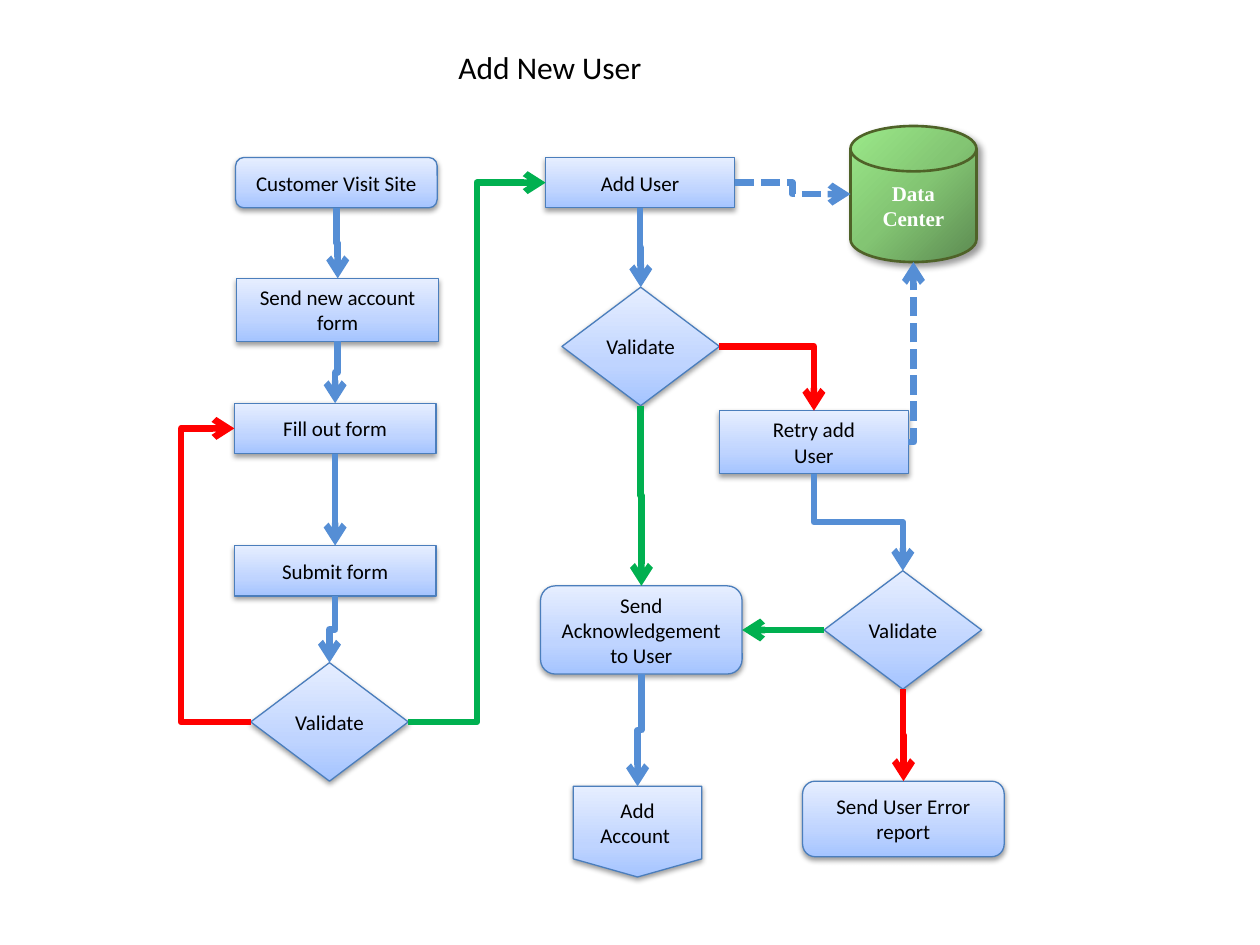
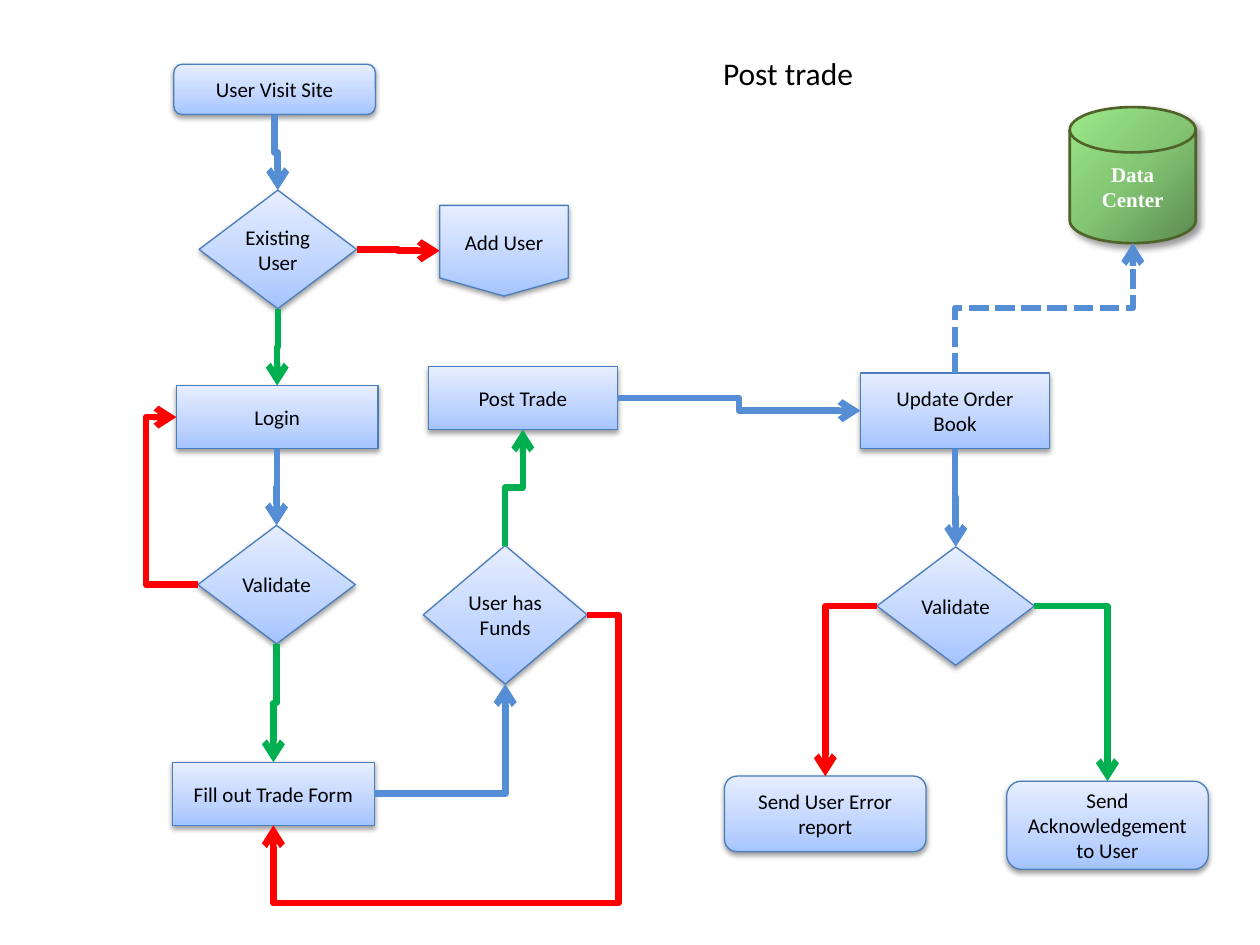
from lxml.etree import SubElement
from pptx import Presentation
from pptx.dml.color import RGBColor
from pptx.enum.shapes import MSO_CONNECTOR, MSO_SHAPE
from pptx.enum.text import MSO_ANCHOR, MSO_AUTO_SIZE, PP_ALIGN
from pptx.oxml.ns import qn
from pptx.util import Inches, Pt

HEX = {
    "blue": "558ED5", "green": "00B050", "red": "FF0000",
    "edge": "4B7EBC", "rim": "4F6228", "ink": "000000", "white": "FFFFFF",
}

# Looks: fill stops, fill angle, outline, font and shadow
STEP = {
    "stops": [(0, "A4C4FF"), (35, "BFD4FF"), (100, "E6EEFF")], "angle": 270,
    "line": ("edge", 0.75), "font": ("Calibri", "ink", False),
    "shade": {"blur": 3.1, "dist": 1.6, "dir": 90, "alpha": 38},
}
STORE = {
    "stops": [(0, "5C8A51"), (50, "83C573"), (100, "9BE989")], "angle": 225,
    "line": ("rim", 1.5), "font": ("Times New Roman", "white", True),
    "shade": {"blur": 4, "dist": 3, "dir": 45, "alpha": 40},
}

# Kinds of node: preset, default size, look
KINDS = {
    "end": (MSO_SHAPE.FLOWCHART_ALTERNATE_PROCESS, (1.6, 0.4), STEP),
    "box": (MSO_SHAPE.FLOWCHART_PROCESS, (1.6, 0.5), STEP),
    "test": (MSO_SHAPE.FLOWCHART_DECISION, (1.25, 0.94), STEP),
    "page": (MSO_SHAPE.FLOWCHART_OFFPAGE_CONNECTOR, (1.02, 0.72), STEP),
    "disk": (MSO_SHAPE.FLOWCHART_MAGNETIC_DISK, (1, 1.08), STORE),
}

# Wording used on both slides
ACK = "Send Acknowledgement\nto User"
ERROR = "Send User Error\nreport"
DATA = "Data\nCenter"

# Nodes: name -> kind, left, top, text, size if not the default
# Links: from, side, to, side, colour, then "dash" or a list of bends
SLIDES = [
    {
        "title": ("Add New User", 3.54, 0.33, 1.67),
        "nodes": {
            "visit": ("end", 1.87, 1.25, "Customer Visit Site"),
            "send": ("box", 1.88, 2.21, "Send new account form"),
            "fill": ("box", 1.86, 3.2, "Fill out form", (1.6, 0.4)),
            "submit": ("box", 1.86, 4.33, "Submit form", (1.6, 0.4)),
            "check": ("test", 1.99, 5.26, "Validate"),
            "add": ("box", 4.33, 1.25, "Add User", (1.5, 0.4)),
            "check 2": ("test", 4.46, 2.28, "Validate"),
            "retry": ("box", 5.71, 3.26, "Retry add\nUser", (1.5, 0.5)),
            "check 3": ("test", 6.54, 4.53, "Validate"),
            "ack": ("end", 4.29, 4.65, ACK, (1.6, 0.7)),
            "error": ("end", 6.37, 6.2, ERROR, (1.6, 0.6)),
            "account": ("page", 4.55, 6.24, "Add Account "),
            "data": ("disk", 6.75, 1, DATA),
        },
        "links": [
            ("visit", "b", "send", "t", "blue"),
            ("send", "b", "fill", "t", "blue"),
            ("fill", "b", "submit", "t", "blue"),
            ("submit", "b", "check", "t", "blue"),
            ("check", "l", "fill", "l", "red", [4.26]),
            ("check", "r", "add", "l", "green"),
            ("add", "b", "check 2", "t", "blue"),
            ("add", "r", "data", "l", "blue", "dash"),
            ("check 2", "r", "retry", "t", "red"),
            ("check 2", "b", "ack", "t", "green"),
            ("retry", "r", "data", "b", "blue", "dash"),
            ("retry", "b", "check 3", "t", "blue"),
            ("check 3", "l", "ack", "r", "green"),
            ("check 3", "b", "error", "t", "red"),
            ("ack", "b", "account", "t", "blue"),
        ],
    },
    {
        "title": ("Post trade", 5.64, 0.38, 1.24),
        "nodes": {
            "visit": ("end", 1.38, 0.51, "User Visit Site"),
            "known": ("test", 1.58, 1.51, "Existing User"),
            "add": ("page", 3.49, 1.63, "Add User"),
            "login": ("box", 1.4, 3.06, "Login"),
            "check": ("test", 1.57, 4.17, "Validate"),
            "form": ("box", 1.37, 6.05, "Fill out Trade Form"),
            "funds": ("test", 3.36, 4.33, "User has Funds", (1.3, 1.1)),
            "post": ("box", 3.4, 2.91, "Post Trade", (1.5, 0.5)),
            "book": ("box", 6.83, 2.96, "Update Order Book", (1.5, 0.6)),
            "check 2": ("test", 6.96, 4.34, "Validate"),
            "error": ("end", 5.75, 6.16, ERROR, (1.6, 0.6)),
            "ack": ("end", 7.99, 6.2, ACK, (1.6, 0.7)),
            "data": ("disk", 8.49, 0.85, DATA),
        },
        "links": [
            ("visit", "b", "known", "t", "blue"),
            ("known", "r", "add", "l", "red"),
            ("known", "b", "login", "t", "green"),
            ("login", "b", "check", "t", "blue"),
            ("check", "l", "login", "l", "red", [2.43]),
            ("check", "b", "form", "t", "green"),
            ("form", "r", "funds", "b", "blue"),
            ("funds", "t", "post", "b", "green"),
            ("funds", "r", "form", "b", "red", [-0.1, 1.37]),
            ("post", "r", "book", "l", "blue"),
            ("book", "t", "data", "b", "blue", "dash"),
            ("book", "b", "check 2", "t", "blue"),
            ("check 2", "l", "error", "t", "red"),
            ("check 2", "r", "ack", "t", "green"),
        ],
    },
]

# Sides: share of width, share of height, heading in degrees
SIDES = {"r": (1, 0.5, 0), "b": (0.5, 1, 90),
         "l": (0, 0.5, 180), "t": (0.5, 0, 270)}


def tint(name):
    return RGBColor.from_string(HEX[name])


def write(frame, text, size, font, color, bold=False, align=PP_ALIGN.CENTER):
    for i, words in enumerate(text.split("\n")):
        para = frame.paragraphs[0] if i == 0 else frame.add_paragraph()
        para.alignment = align
        run = para.add_run()
        run.text = words
        run.font.size, run.font.name, run.font.bold = Pt(size), font, bold
        run.font.color.rgb = tint(color)


def paint(shape, look):
    # Gradient fill
    shape.fill.gradient()
    shape.fill.gradient_angle = 360 - look["angle"]
    props = shape._element.spPr
    stops = props.find(".//" + qn("a:gsLst"))
    for old in list(stops):
        stops.remove(old)
    for pos, color in look["stops"]:
        stop = SubElement(stops, qn("a:gs"), pos=str(pos * 1000))
        SubElement(stop, qn("a:srgbClr"), val=color)
    # Outline
    color, width = look["line"]
    shape.line.color.rgb = tint(color)
    shape.line.width = Pt(width)
    # Shadow
    shape.shadow.inherit = False
    shade = look["shade"]
    outer = SubElement(
        props.find(qn("a:effectLst")), qn("a:outerShdw"),
        blurRad=str(Pt(shade["blur"])), dist=str(Pt(shade["dist"])),
        dir=str(shade["dir"] * 60000), rotWithShape="0")
    black = SubElement(outer, qn("a:srgbClr"), val=HEX["ink"])
    SubElement(black, qn("a:alpha"), val=str(shade["alpha"] * 1000))


def add_node(slide, kind, x, y, text, size=None):
    """Draw a node and return its box."""
    preset, usual, look = KINDS[kind]
    w, h = size or usual
    shape = slide.shapes.add_shape(
        preset, Inches(x), Inches(y), Inches(w), Inches(h))
    paint(shape, look)
    frame = shape.text_frame
    frame.word_wrap = True
    frame.vertical_anchor = MSO_ANCHOR.MIDDLE
    if kind == "test":
        frame.margin_left = frame.margin_right = 0
        frame.margin_top = frame.margin_bottom = 0
    write(frame, text, 12, *look["font"])
    return x, y, w, h


def port(box, side):
    x, y, w, h = box
    across, down, turn = SIDES[side]
    return x + w * across, y + h * down, turn


def add_link(slide, start, end, color, extra=None):
    x1, y1, turn = start
    x2, y2, last = end
    dx, dy = x2 - x1, y2 - y1
    # Turn the route so that it leaves its start towards the right
    run, rise = {0: (dx, dy), 90: (dy, -dx),
                 180: (-dx, -dy), 270: (-dy, dx)}[turn]
    w, h = abs(run), abs(rise)
    flip_h, flip_v = run < 0, rise < 0
    if turn == 270 or (turn == 90 and flip_v):
        turn, flip_h, flip_v = (turn + 180) % 360, not flip_h, not flip_v
    left, top = (x1 + x2 - w) / 2, (y1 + y2 - h) / 2
    link = slide.shapes.add_connector(
        MSO_CONNECTOR.ELBOW, Inches(left), Inches(top),
        Inches(left + w), Inches(top + h))
    props = link._element.spPr
    frame = props.find(qn("a:xfrm"))
    frame.set("rot", str(turn * 60000))
    frame.set("flipH", str(int(flip_h)))
    frame.set("flipV", str(int(flip_v)))
    # Number of bends
    bends = extra if isinstance(extra, list) else []
    square = (start[2] - last) % 180 != 0
    if not square and not bends:
        bends = [0.5]
    shape = props.find(qn("a:prstGeom"))
    shape.set("prst", f"bentConnector{len(bends) + 2}")
    guides = shape.find(qn("a:avLst"))
    for i, bend in enumerate(bends, 1):
        SubElement(guides, qn("a:gd"), name=f"adj{i}",
                   fmla=f"val {round(bend * 100000)}")
    # Stroke, arrowhead, no shadow
    link.line.color.rgb = tint(color)
    link.line.width = Pt(3.75)
    stroke = props.find(qn("a:ln"))
    if extra == "dash":
        SubElement(stroke, qn("a:prstDash"), val="sysDash")
    SubElement(stroke, qn("a:round"))
    SubElement(stroke, qn("a:tailEnd"), type="arrow")
    SubElement(props, qn("a:effectLst"))


def add_title(slide, text, x, y, w):
    box = slide.shapes.add_textbox(
        Inches(x), Inches(y), Inches(w), Inches(0.4))
    box.text_frame.word_wrap = False
    box.text_frame.auto_size = MSO_AUTO_SIZE.SHAPE_TO_FIT_TEXT
    write(box.text_frame, text, 18, "Calibri", "ink", align=PP_ALIGN.LEFT)


deck = Presentation()
deck.slide_width, deck.slide_height = Inches(10), Inches(7.5)
for plan in SLIDES:
    slide = deck.slides.add_slide(deck.slide_layouts[6])
    add_title(slide, *plan["title"])
    boxes = {name: add_node(slide, *node)
             for name, node in plan["nodes"].items()}
    for a, out, b, into, *style in plan["links"]:
        add_link(slide, port(boxes[a], out), port(boxes[b], into), *style)
deck.save("out.pptx")
